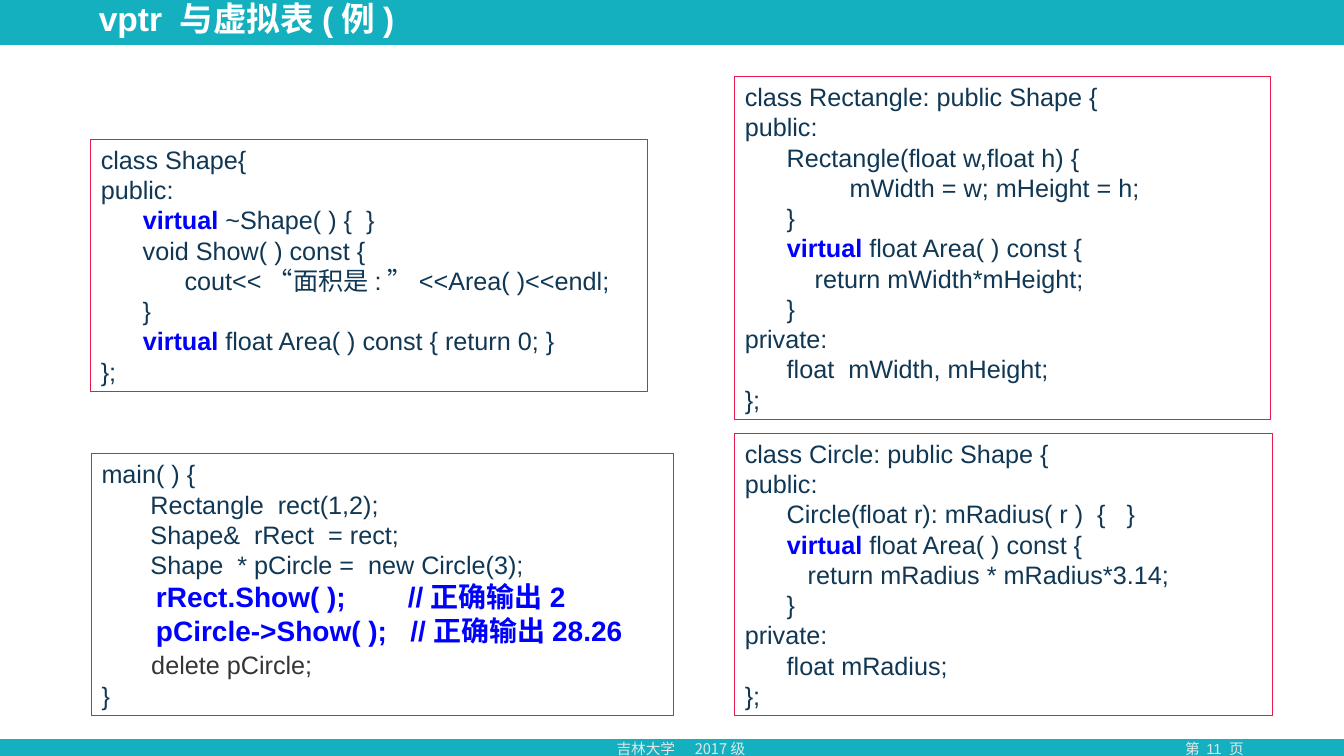
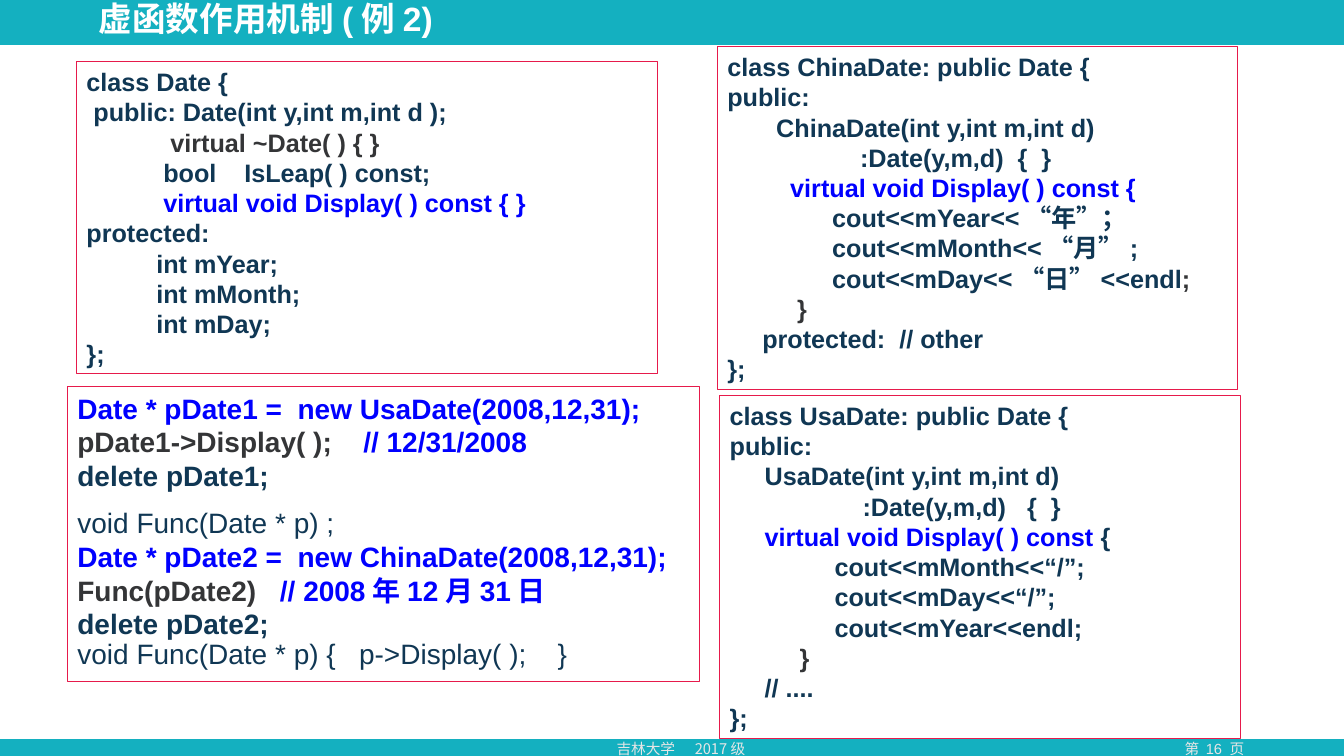
from pptx import Presentation
from pptx import util as u
from pptx.dml import color
from pptx.enum import shapes, text
from pptx.oxml import ns
from lxml import etree

LATIN, CHINESE = "Arial", "Noto Sans CJK SC"
TEAL, WHITE, PALE = "14B0C0", "FFFFFF", "E7E6E6"
NAVY, BLUE, GREY, RED = "103754", "0000FF", "343537", "E61A4B"
PAGE = (0, 0, 33.87, 19.05)

# Code styles: colour, size, bold
STYLES = {
    "plain": (NAVY, 18, False),
    "bold": (NAVY, 18, True),
    "blue": (BLUE, 18, True),
    "grey": (GREY, 18, False),
    "dark": (GREY, 18, True),
    "plain20": (NAVY, 20, False),
    "bold20": (NAVY, 20, True),
    "blue20": (BLUE, 20, True),
    "dark20": (GREY, 20, True),
}


def rgb(value):
    return color.RGBColor.from_string(value)


def cm(box):
    return [u.Cm(length) for length in box]


def format_run(run, colour, size, bold=False, latin=LATIN):
    font = run.font
    font.size, font.bold, font.name = u.Pt(size), bold, latin
    font.color.rgb = rgb(colour)
    east_asian = etree.SubElement(font._element, ns.qn("a:ea"))
    east_asian.set("typeface", CHINESE)


def add_box(slide, box, fill, line=None):
    shape = slide.shapes.add_shape(shapes.MSO_SHAPE.RECTANGLE, *cm(box))
    shape.shadow.inherit = False
    shape.fill.solid()
    shape.fill.fore_color.rgb = rgb(fill)
    if line:
        shape.line.color.rgb = rgb(line)
        shape.line.width = u.Pt(0.75)
    else:
        shape.line.fill.background()
    return shape


def add_label(slide, box, words, colour, size, bold=False, latin=LATIN):
    frame = slide.shapes.add_textbox(*cm(box)).text_frame
    frame.word_wrap = True
    frame.text = words
    paragraph = frame.paragraphs[0]
    for run in paragraph.runs:
        format_run(run, colour, size, bold, latin)
    return frame, paragraph


def add_tab_stop(paragraph, position):
    stops = etree.SubElement(paragraph._p.get_or_add_pPr(), ns.qn("a:tabLst"))
    etree.SubElement(stops, ns.qn("a:tab"), pos=str(u.Cm(position)), algn="l")


def add_frame(presentation, title, page):
    """Add a slide with the bands, title and footer all slides share."""
    slide = presentation.slides.add_slide(presentation.slide_layouts[6])
    left, top, width, height = PAGE
    add_box(slide, PAGE, TEAL)
    add_box(slide, (left, top + 1.14, width, height - 1.57), WHITE)

    # Footer
    footer = top + height - 0.53
    _, number = add_label(slide, (left + 28.75, footer, 3.71, 0.71),
                          f"第 {page} 页", PALE, 10.5)
    number.alignment = text.PP_ALIGN.CENTER
    _, school = add_label(slide, (left + 15.29, footer, 4.67, 0.71),
                          "吉林大学\t2017级", PALE, 10.5, latin=CHINESE)
    add_tab_stop(school, 1.97)

    # Title
    frame, heading = add_label(slide, (left + 2.24, top + 0.1, 19.51, 0.99),
                               title, WHITE, 24, True)
    frame.vertical_anchor = text.MSO_ANCHOR.BOTTOM
    heading.line_spacing = 0.9
    return slide


def add_code(slide, box, style, lines):
    """A line is a string in the box's style, or a list of (style, text)."""
    frame = add_box(slide, box, WHITE, RED).text_frame
    frame.word_wrap = True
    frame.auto_size = text.MSO_AUTO_SIZE.SHAPE_TO_FIT_TEXT
    frame.vertical_anchor = text.MSO_ANCHOR.TOP
    for index, line in enumerate(lines):
        paragraph = frame.add_paragraph() if index else frame.paragraphs[0]
        paragraph.alignment = text.PP_ALIGN.LEFT
        for name, words in [(style, line)] if isinstance(line, str) else line:
            run = paragraph.add_run()
            run.text = words
            format_run(run, *STYLES[name])
    return frame.paragraphs


def virtual(rest):
    return [("plain", "      "), ("blue", "virtual "), ("plain", rest)]


def build_shapes_slide(presentation):
    slide = add_frame(presentation, "vptr 与虚拟表(例)", 11)

    # Base class
    add_code(slide, (2.29, 3.51, 14.02, 6.35), "plain", [
        "class Shape{",
        "public:",
        virtual("~Shape( ) {  }"),
        "      void Show( ) const {",
        "            cout<<“面积是:”<<Area( )<<endl;",
        "      }",
        virtual("float Area( ) const { return 0; }"),
        "};",
    ])

    # Derived classes
    add_code(slide, (18.52, 10.92, 13.56, 7.11), "plain", [
        "class Circle: public Shape {",
        "public:",
        "      Circle(float r): mRadius( r )  {   }",
        virtual("float Area( ) const {"),
        "         return mRadius * mRadius*3.14;",
        "      }",
        "private:",
        "      float mRadius;",
        "};",
    ])
    add_code(slide, (18.52, 1.93, 13.51, 8.64), "plain", [
        "class Rectangle: public Shape {",
        "public:",
        "      Rectangle(float w,float h) {",
        "               mWidth = w; mHeight = h;",
        "      }",
        virtual("float Area( ) const {"),
        "          return mWidth*mHeight;",
        "      }",
        "private:",
        "      float  mWidth, mHeight;",
        "};",
    ])

    # Main program
    add_code(slide, (2.31, 11.43, 14.66, 6.6), "plain", [
        "main( ) {",
        "       Rectangle  rect(1,2);",
        "       Shape&  rRect  = rect;",
        "       Shape  * pCircle =  new Circle(3);",
        [("blue20", "       rRect.Show( );        //正确输出2")],
        [("blue20", "       pCircle->Show( );   //正确输出28.26")],
        [("blue20", " "), ("grey", "      delete pCircle;")],
        "}",
    ])


def build_dates_slide(presentation):
    slide = add_frame(presentation, "虚函数作用机制(例2)", 16)

    # Base class
    add_code(slide, (1.93, 1.55, 14.63, 7.87), "bold", [
        "class Date {",
        " public: Date(int y,int m,int d );",
        [("dark", "            virtual ~Date( ) { }")],
        "           bool    IsLeap( ) const;",
        [("blue", "           virtual void Display( ) const { }")],
        "protected:",
        "          int mYear;",
        "          int mMonth;",
        "          int mDay;",
        "};",
    ])

    # Derived classes
    add_code(slide, (18.08, 1.17, 13.11, 8.64), "bold", [
        "class ChinaDate: public Date {",
        "public:",
        "       ChinaDate(int y,int m,int d)",
        "                   :Date(y,m,d)  {  }",
        [("blue", "         virtual void Display( ) const {")],
        "               cout<<mYear<<“年”；",
        "               cout<<mMonth<<“月”;",
        [("bold", "               cout<<mDay<<“日”<<endl"), ("dark", ";")],
        [("dark", "          }")],
        "     protected:  // other",
        "};",
    ])
    add_code(slide, (18.14, 9.96, 13.13, 8.64), "bold", [
        "class UsaDate: public Date {",
        "public:",
        "     UsaDate(int y,int m,int d)",
        "                   :Date(y,m,d)   {  }",
        [("blue", "     virtual void Display( ) const"), ("bold", " {")],
        "               cout<<mMonth<<“/”;",
        "               cout<<mDay<<“/”;",
        "               cout<<mYear<<endl;",
        [("dark", "          }")],
        "     // ....",
        "};",
    ])

    # Calls through the base pointer
    calls = add_code(slide, (1.7, 9.73, 15.93, 7.44), "bold20", [
        [("blue20", "Date * pDate1 =  new UsaDate(2008,12,31);")],
        [("dark20", "pDate1->Display( );   "), ("blue20", " // 12/31/2008")],
        "delete pDate1;",
        [("plain20", "void Func(Date * p) ;")],
        [("blue20", "Date * pDate2 =  new ChinaDate(2008,12,31);")],
        [("dark20", "Func(pDate2)   "), ("blue20", "// 2008年12月31日")],
        "delete pDate2;",
        [("plain20", "void Func(Date * p) {   p->Display( );    }")],
    ])
    calls[3].space_before = u.Pt(10)
    calls[-1].line_spacing = 0.9


def main():
    presentation = Presentation()
    presentation.slide_width, presentation.slide_height = cm(PAGE[2:])
    build_shapes_slide(presentation)
    build_dates_slide(presentation)
    presentation.save("out.pptx")


if __name__ == "__main__":
    main()
